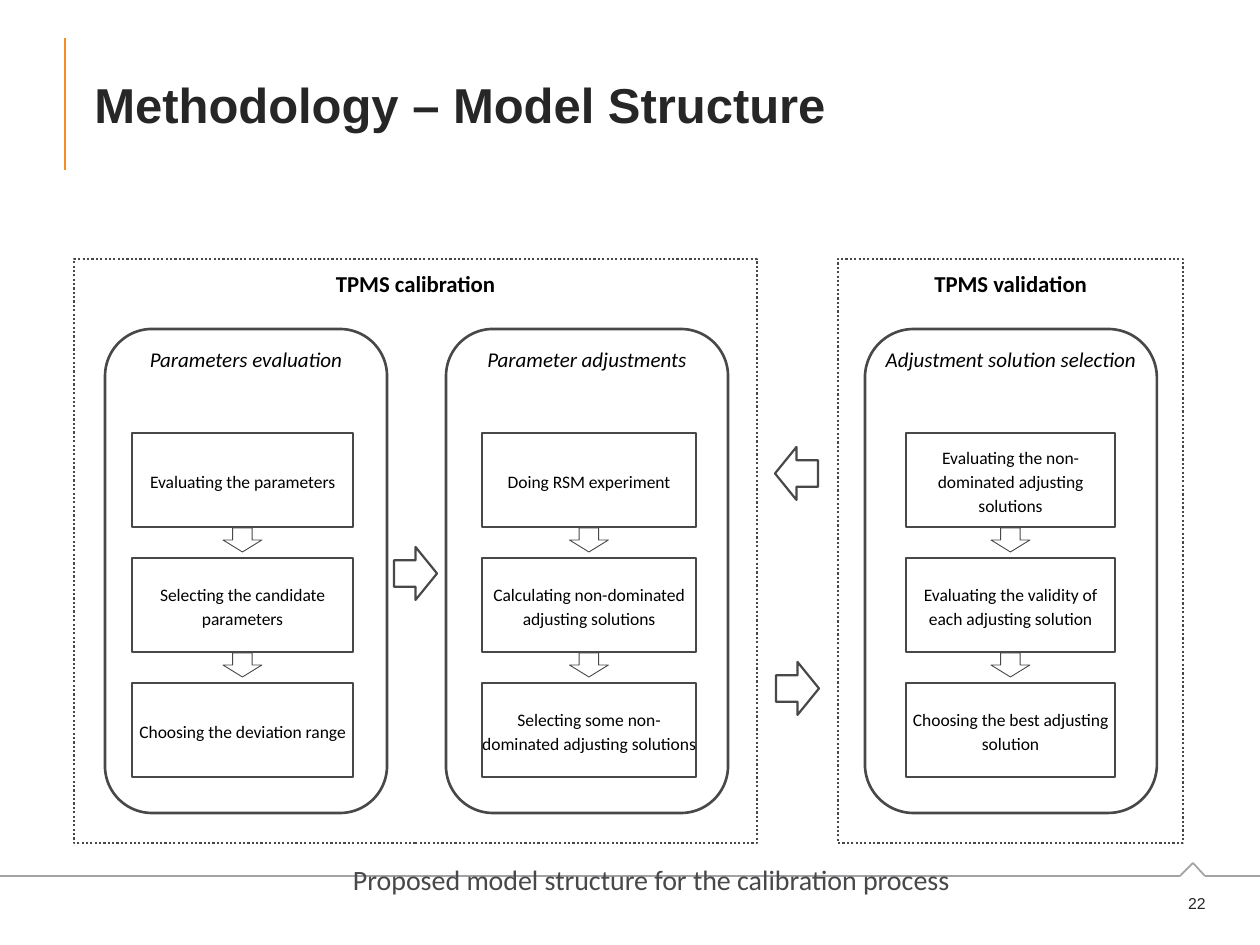
from dataclasses import dataclass
from itertools import pairwise

from pptx import Presentation
from pptx import util as u
from pptx.dml.color import RGBColor
from pptx.enum import dml, shapes, text
from pptx.oxml.ns import qn

TITLE = "Methodology – Model Structure"
CAPTION = "Proposed model structure for the calibration process"
PAGE = "22"

PHASES = [
    ("TPMS calibration", (74, 259, 683, 584)),
    ("TPMS validation", (838, 259, 345, 584)),
]
STAGES = [
    {"name": "Parameters evaluation", "left": 105, "width": 282,
     "step_left": 132, "step_width": 221,
     "steps": ["Evaluating the parameters",
               "Selecting the candidate parameters",
               "Choosing the deviation range"]},
    {"name": "Parameter adjustments", "left": 446, "width": 282,
     "step_left": 482, "step_width": 214,
     "steps": ["Doing RSM experiment",
               "Calculating non-dominated adjusting solutions",
               "Selecting some non-dominated adjusting solutions"]},
    {"name": "Adjustment solution selection", "left": 865, "width": 292,
     "step_left": 906, "step_width": 209,
     "steps": ["Evaluating the non-dominated adjusting solutions",
               "Evaluating the validity of each adjusting solution",
               "Choosing the best adjusting solution"]},
]
FLOWS = [
    (shapes.MSO_SHAPE.RIGHT_ARROW, 394, 547),
    (shapes.MSO_SHAPE.LEFT_ARROW, 775, 447),
    (shapes.MSO_SHAPE.RIGHT_ARROW, 776, 662),
]
FOOTER_LINE = [(0, 876), (1180, 876), (1193, 863), (1205, 876), (1260, 876)]
ACCENT_LINE = [(65, 38), (65, 170)]

STAGE_TOP, STAGE_HEIGHT = 329, 484
STEP_TOP, STEP_HEIGHT, STEP_PITCH = 433, 94, 125
DOWN_WIDTH, DOWN_HEIGHT = 39, 24
FLOW_SIZE = (43, 53)


@dataclass(frozen=True)
class Theme:
    ink: str = "000000"
    heading: str = "262626"
    outline: str = "48484A"
    rule: str = "A3A3A5"
    accent: str = "F68B1F"
    paper: str = "FFFFFF"
    heading_font: str = "Arial"
    body_font: str = "Calibri"
    title_size: int = 28
    caption_size: int = 16
    phase_size: int = 13
    stage_size: int = 12
    step_size: int = 10
    page_size: int = 9


theme = Theme()


def px(n):
    return u.Emu(round(n * 914400 / 126))


def write(box, words, size, color=theme.ink, font=theme.body_font, bold=False,
          italic=False, align=text.PP_ALIGN.CENTER, anchor=text.MSO_ANCHOR.TOP,
          spacing=1.15, after=0, insets=None):
    frame = box.text_frame
    frame.word_wrap = True
    frame.vertical_anchor = anchor
    if insets:
        (frame.margin_left, frame.margin_top,
         frame.margin_right, frame.margin_bottom) = map(px, insets)
    frame.text = words
    paragraph = frame.paragraphs[0]
    paragraph.alignment = align
    paragraph.line_spacing = spacing
    paragraph.space_after = u.Pt(after)
    for run in paragraph.runs:
        run.font.name = font
        run.font.size = u.Pt(size)
        run.font.bold = bold
        run.font.italic = italic
        run.font.color.rgb = RGBColor.from_string(color)


def add_outline(slide, preset, box, weight, filled=False):
    shape = slide.shapes.add_shape(preset, *map(px, box))
    shape.shadow.inherit = False
    if filled:
        shape.fill.solid()
        shape.fill.fore_color.rgb = RGBColor.from_string(theme.paper)
    else:
        shape.fill.background()
    shape.line.color.rgb = RGBColor.from_string(theme.outline)
    shape.line.width = u.Pt(weight)
    return shape


def add_path(slide, points, color, weight):
    for start, end in pairwise(points):
        line = slide.shapes.add_connector(
            shapes.MSO_CONNECTOR.STRAIGHT, *map(px, start + end))
        line.line.color.rgb = RGBColor.from_string(color)
        line.line.width = u.Pt(weight)
        properties = line._element.spPr
        properties.append(properties.makeelement(qn("a:effectLst"), {}))


def add_phase(slide, name, box):
    phase = add_outline(slide, shapes.MSO_SHAPE.RECTANGLE, box, 1.25, True)
    phase.line.dash_style = dml.MSO_LINE.ROUND_DOT
    write(phase, name, theme.phase_size, bold=True, after=10)


def add_stage(slide, stage):
    frame = add_outline(
        slide, shapes.MSO_SHAPE.ROUNDED_RECTANGLE,
        (stage["left"], STAGE_TOP, stage["width"], STAGE_HEIGHT), 1.5)
    write(frame, stage["name"], theme.stage_size, italic=True,
          insets=(0, 0, 0, 6))
    left, width = stage["step_left"], stage["step_width"]
    for row, words in enumerate(stage["steps"]):
        top = STEP_TOP + row * STEP_PITCH
        step = add_outline(slide, shapes.MSO_SHAPE.RECTANGLE,
                           (left, top, width, STEP_HEIGHT), 1, True)
        write(step, words, theme.step_size, anchor=text.MSO_ANCHOR.MIDDLE,
              insets=(0, 0, 0, 0))
        if row < len(stage["steps"]) - 1:
            add_outline(slide, shapes.MSO_SHAPE.DOWN_ARROW,
                        (left + (width - DOWN_WIDTH) / 2,
                         top + STEP_HEIGHT + 1, DOWN_WIDTH, DOWN_HEIGHT), 0.5)


def add_words(slide, box, words, size, **style):
    write(slide.shapes.add_textbox(*map(px, box)), words, size, **style)


def main():
    deck = Presentation()
    deck.slide_width, deck.slide_height = px(1260), px(945)
    slide = deck.slides.add_slide(deck.slide_layouts[6])

    add_path(slide, ACCENT_LINE, theme.accent, 1.5)
    add_path(slide, FOOTER_LINE, theme.rule, 1)
    for name, box in PHASES:
        add_phase(slide, name, box)
    for stage in STAGES:
        add_stage(slide, stage)
    for preset, left, top in FLOWS:
        add_outline(slide, preset, (left, top, *FLOW_SIZE), 1.25)

    heading = {"color": theme.heading, "font": theme.heading_font,
               "anchor": text.MSO_ANCHOR.MIDDLE, "spacing": 1.0}
    add_words(slide, (82, 38, 1115, 132), TITLE, theme.title_size, bold=True,
              align=text.PP_ALIGN.LEFT, **heading)
    add_words(slide, (1165, 887, 53, 32), PAGE, theme.page_size,
              align=text.PP_ALIGN.RIGHT, **heading)
    add_words(slide, (230, 851, 843, 52), CAPTION, theme.caption_size,
              color=theme.outline, after=10)
    deck.save("out.pptx")


if __name__ == "__main__":
    main()
